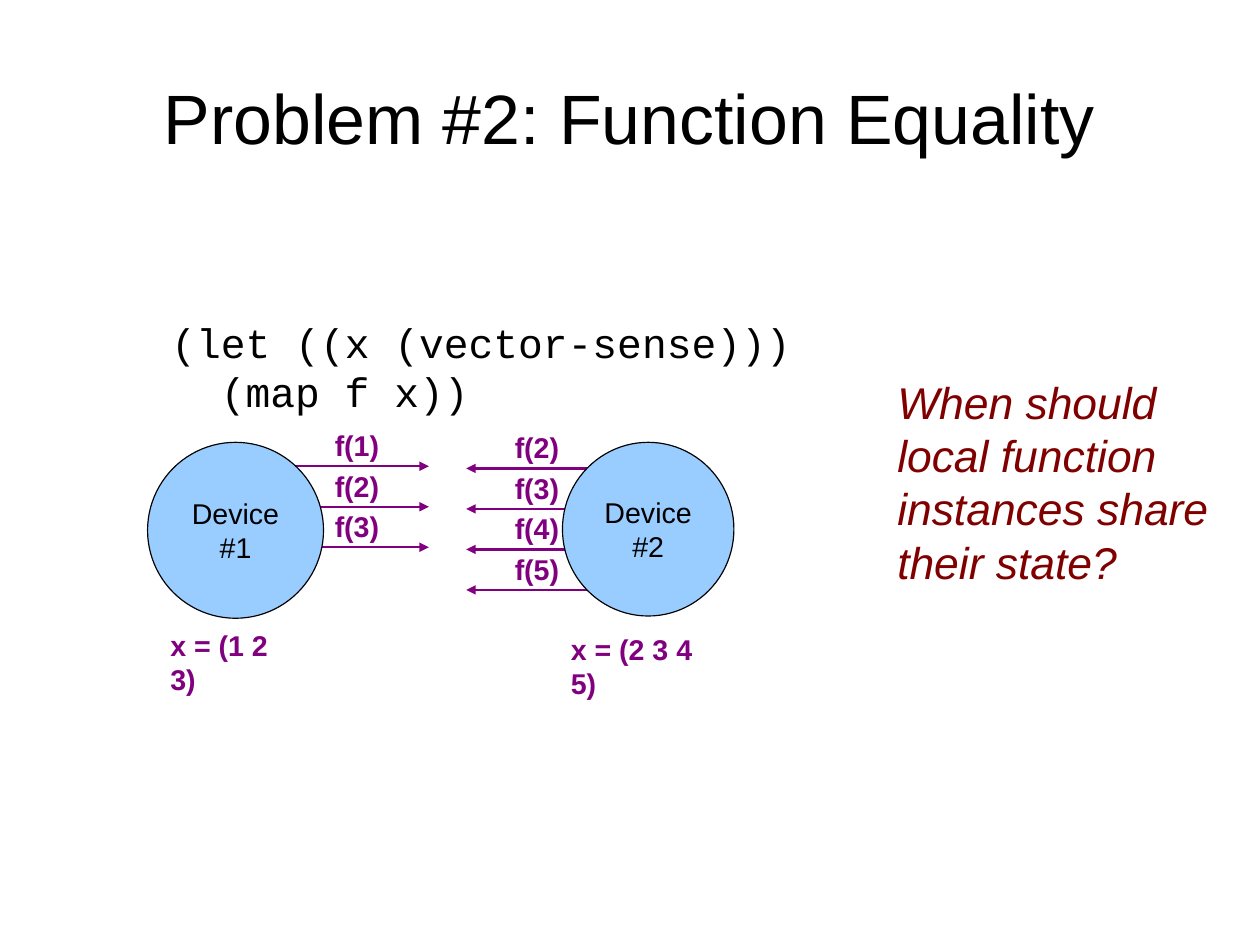
import pptx
import pptx.dml.color
import pptx.enum.shapes
import pptx.enum.text
import pptx.oxml
import pptx.oxml.ns
import pptx.util

Cm = pptx.util.Cm
Pt = pptx.util.Pt
ALIGN = pptx.enum.text.PP_ALIGN
ANCHOR = pptx.enum.text.MSO_ANCHOR
AUTO_SIZE = pptx.enum.text.MSO_AUTO_SIZE

COLOURS = {
    "ink": "000000",
    "call": "800080",
    "question": "800000",
    "device": "99CCFF",
}
TITLE_FONT = {"name": "Arial", "size": Pt(44)}
CODE_FONT = {"name": "Courier New", "size": Pt(26)}
QUESTION_FONT = {"name": "Arial", "size": Pt(28), "italic": True}
DEVICE_FONT = {"name": "Arial", "size": Pt(18)}
CALL_FONT = {"name": "Arial", "size": Pt(18), "bold": True}
NO_MARGINS = dict.fromkeys(
    ("margin_left", "margin_top", "margin_right", "margin_bottom"), 0)
PITCH = 0.9
ARROW_LENGTH = 3.18
LABEL_RISE = 0.97


def colour(name):
    """Return the named colour as an RGB value."""
    return pptx.dml.color.RGBColor.from_string(COLOURS[name])


def set_attributes(target, values):
    """Set each attribute of the target from a dict."""
    for name, value in values.items():
        setattr(target, name, value)


def write(shape, lines, font, ink, align=ALIGN.LEFT, **frame_values):
    """Fill a shape with formatted lines, one paragraph each."""
    frame = shape.text_frame
    set_attributes(frame, frame_values)
    frame.text = "\n".join(lines)
    for paragraph in frame.paragraphs:
        paragraph.alignment = align
        for run in paragraph.runs:
            set_attributes(run.font, font)
            run.font.color.rgb = colour(ink)


def add_text(shapes, box, lines, font, ink, wrap=True, **frame_values):
    """Add a text box that grows with its text."""
    shape = shapes.add_textbox(*map(Cm, box))
    write(shape, lines, font, ink, word_wrap=wrap,
          auto_size=AUTO_SIZE.SHAPE_TO_FIT_TEXT, **frame_values)
    return shape


def add_arrow(shapes, start, end, y):
    """Add a horizontal arrow pointing at its end."""
    arrow = shapes.add_connector(
        pptx.enum.shapes.MSO_CONNECTOR.STRAIGHT, Cm(start), Cm(y), Cm(end), Cm(y))
    arrow.line.width = Pt(1.45)
    arrow.line.color.rgb = colour("call")
    head = pptx.oxml.parse_xml(
        f'<a:tailEnd {pptx.oxml.ns.nsdecls("a")} type="triangle"/>')
    arrow.line._get_or_add_ln().append(head)
    arrow._element.spPr.append(
        pptx.oxml.parse_xml(f'<a:effectLst {pptx.oxml.ns.nsdecls("a")}/>'))


def add_title(slide, box, text):
    """Place the title placeholder in its box."""
    title = slide.shapes.title
    set_attributes(title, dict(zip(("left", "top", "width", "height"), map(Cm, box))))
    write(title, [text], TITLE_FONT, "ink", ALIGN.CENTER,
          vertical_anchor=ANCHOR.MIDDLE, auto_size=AUTO_SIZE.NONE, **NO_MARGINS)


def add_code(slide, box, lines):
    """Place the program text with its second line indented."""
    code = add_text(slide.shapes, box, lines, CODE_FONT, "ink", **NO_MARGINS)
    properties = code.text_frame.paragraphs[1]._p.get_or_add_pPr()
    properties.set("marL", str(Cm(1.1)))
    properties.set("indent", "0")


def add_device(slide, box, number, values, direction, arrow_offset,
               label_offset, caption_gap, caption_width):
    """Draw a device circle with its function calls and its vector."""
    left, top, width, height = box
    calls = slide.shapes.add_group_shape().shapes
    start = left + arrow_offset[0]
    for index, value in enumerate(values):
        y = top + arrow_offset[1] + index * PITCH
        label_box = (left + label_offset, y - LABEL_RISE, 1.5, LABEL_RISE)
        add_text(calls, label_box, [f"f({value})"], CALL_FONT, "call", wrap=False)
        add_arrow(calls, start, start + direction * ARROW_LENGTH, y)

    circle = slide.shapes.add_shape(
        pptx.enum.shapes.MSO_SHAPE.OVAL, *map(Cm, box))
    circle.shadow.inherit = False
    circle.fill.solid()
    circle.fill.fore_color.rgb = colour("device")
    circle.line.color.rgb = colour("ink")
    circle.line.width = Pt(0)
    write(circle, ["Device", f"#{number}"], DEVICE_FONT, "ink", ALIGN.CENTER,
          vertical_anchor=ANCHOR.MIDDLE)

    caption_box = (left + (width - caption_width) / 2,
                   top + height + caption_gap, caption_width, LABEL_RISE)
    vector = " ".join(map(str, values))
    add_text(slide.shapes, caption_box, [f"x = ({vector})"], CALL_FONT, "call",
             wrap=False)


def main():
    """Build the slide and save it."""
    presentation = pptx.Presentation()
    presentation.slide_width = Cm(28)
    presentation.slide_height = Cm(21)
    slide = presentation.slides.add_slide(presentation.slide_layouts[5])

    add_title(slide, (1.4, 0.97, 25.2, 3.25), "Problem #2: Function Equality")
    add_text(slide.shapes, (19.69, 8.2, 7.62, 4.78),
             ["When should local function instances share their state?"],
             QUESTION_FONT, "question")
    add_code(slide, (3.81, 7.04, 15.04, 2.21),
             ["(let ((x (vector-sense)))", "(map f x))"])
    add_device(slide, (3.28, 9.83, 3.91, 3.91), 1, range(1, 4), 1,
               arrow_offset=(3.07, 0.53), label_offset=3.91,
               caption_gap=0.08, caption_width=3.4)
    add_device(slide, (12.5, 9.83, 3.81, 3.86), 2, range(2, 6), -1,
               arrow_offset=(1.04, 0.58), label_offset=-1.31,
               caption_gap=0.23, caption_width=3.94)
    presentation.save("out.pptx")


if __name__ == "__main__":
    main()
